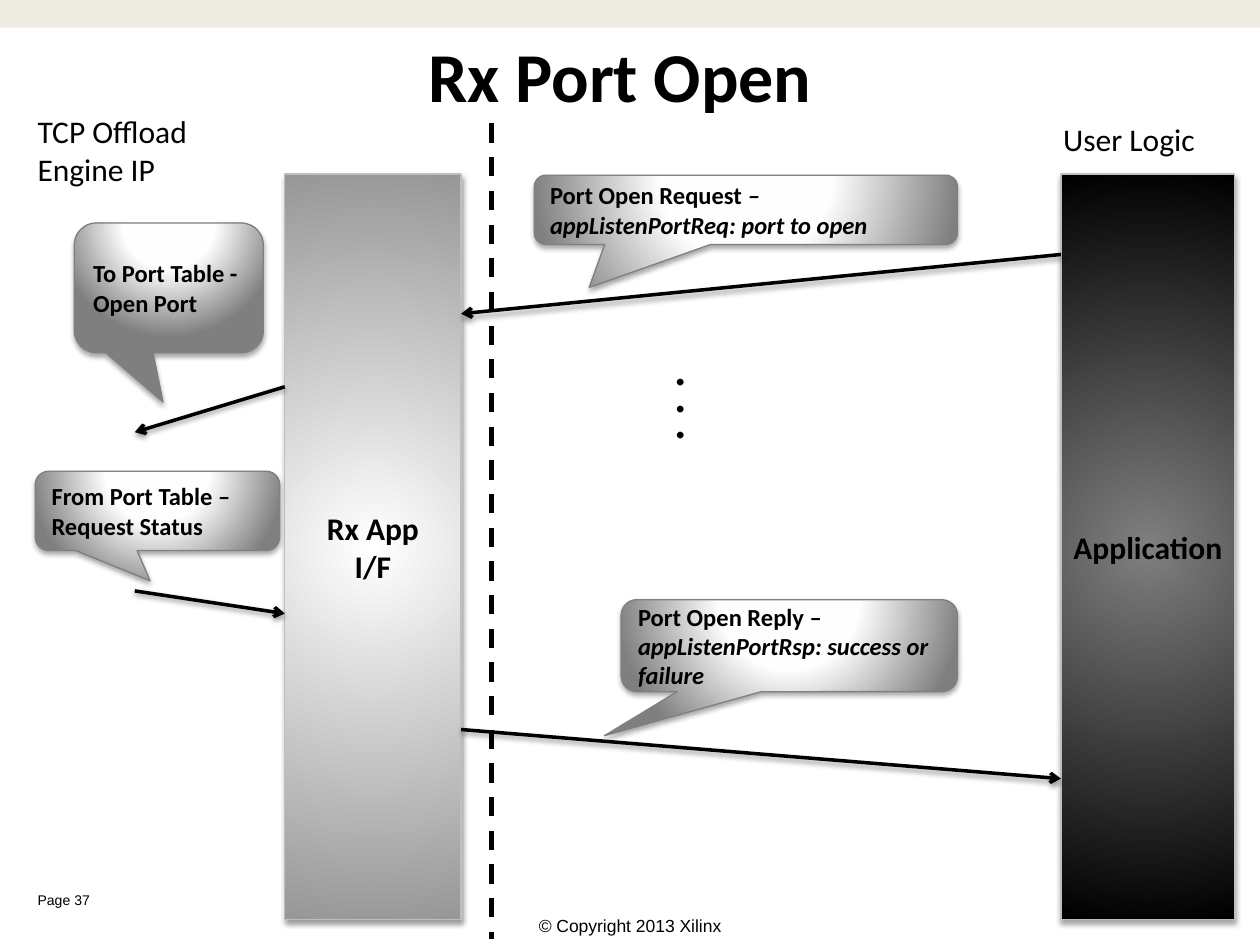
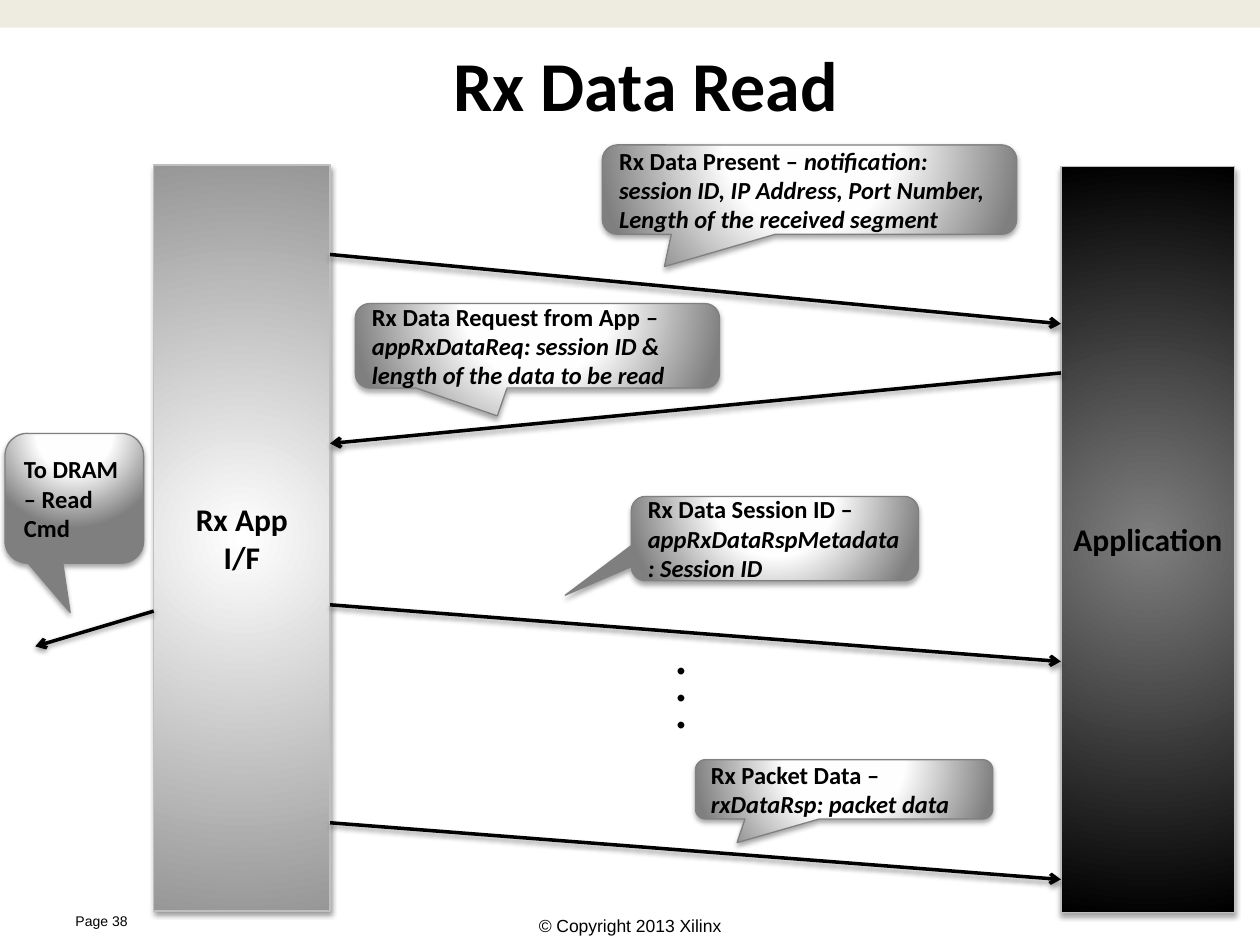
from collections import namedtuple

from lxml.etree import SubElement
from pptx import Presentation
from pptx.dml.color import RGBColor
from pptx.enum.dml import MSO_LINE_DASH_STYLE as Dash
from pptx.enum.shapes import MSO_CONNECTOR as Connector, MSO_SHAPE as Shape
from pptx.enum.text import MSO_ANCHOR as Anchor, PP_ALIGN as Align
from pptx.oxml.ns import qn
from pptx.util import Inches, Pt

# Grid of 100 columns by 75 rows; every length below is in cells
COLUMNS, ROWS = 100, 75
CELL = 0.1

Box = namedtuple("Box", "left top width height")
Arrow = namedtuple("Arrow", "heading start end")
Callout = namedtuple("Callout", "box tip runs")
Gradient = namedtuple("Gradient", "stops focus")

BLACK, BAND = "000000", "EEECE1"
LANE_EDGE, CALLOUT_EDGE = "BFBFBF", "808080"
CENTRE, ABOVE = (50, 50, 50, 50), (50, -80, 50, 180)
LIGHT = Gradient([(0, "FFFFFF"), (100, "979797")], CENTRE)
DARK = Gradient([(0, "7F7F7F"), (100, BLACK)], CENTRE)
BUBBLE = Gradient([(0, "FFFFFF"), (40, "FEFEFE"), (100, "7F7F7F")], ABOVE)
# Opacity in percent, distance in points
SOFT_SHADOW, FIRM_SHADOW = (38, 1.6), (35, 1.8)

LANE_WIDTH, LANE_HEIGHT = 14, 59.2
APPLICATION_LEFT, APPLICATION_WIDTH = 84.2, 13.8


def cells(*lengths):
    return [Inches(length * CELL) for length in lengths]


def within(region, box):
    return Box(region.left + box.left, region.top + box.top, box.width, box.height)


def color(value):
    return RGBColor.from_string(value)


def add_element(parent, tag, **attributes):
    return SubElement(parent, qn(tag), {key: str(value) for key, value in attributes.items()})


def fill_gradient(shape, gradient):
    shape.fill.gradient()
    fill = shape._element.spPr.find(qn("a:gradFill"))
    for child in list(fill):
        fill.remove(child)
    stops = add_element(fill, "a:gsLst")
    for position, value in gradient.stops:
        stop = add_element(stops, "a:gs", pos=position * 1000)
        add_element(stop, "a:srgbClr", val=value)
    path = add_element(fill, "a:path", path="circle")
    edges = {side: share * 1000 for side, share in zip("ltrb", gradient.focus)}
    add_element(path, "a:fillToRect", **edges)


def add_shadow(shape, opacity, distance):
    effects = shape._element.spPr.find(qn("a:effectLst"))
    outer = add_element(effects, "a:outerShdw", blurRad=Pt(3.1), dist=Pt(distance),
                        dir=90 * 60000, rotWithShape=0)
    add_element(add_element(outer, "a:srgbClr", val=BLACK), "a:alpha", val=opacity * 1000)


def write(frame, paragraphs, size, font="Calibri", bold=False, align=Align.LEFT):
    """Each paragraph is a list of (text, italic) runs."""
    for index, runs in enumerate(paragraphs):
        paragraph = frame.add_paragraph() if index else frame.paragraphs[0]
        paragraph.alignment = align
        for text, italic in runs:
            run = paragraph.add_run()
            run.text = text
            run.font.name, run.font.size = font, Pt(size)
            run.font.bold, run.font.italic = bold, italic
            run.font.color.rgb = color(BLACK)


def add_label(slide, box, text, size, **style):
    label = slide.shapes.add_textbox(*cells(*box))
    label.text_frame.word_wrap = True
    write(label.text_frame, [[(text, False)]], size, **style)
    return label


def add_panel(slide, kind, box, gradient, edge, shadow):
    panel = slide.shapes.add_shape(kind, *cells(*box))
    panel.shadow.inherit = False
    fill_gradient(panel, gradient)
    panel.line.color.rgb, panel.line.width = color(edge), Pt(0.75)
    add_shadow(panel, *shadow)
    panel.text_frame.vertical_anchor = Anchor.MIDDLE
    return panel


def add_line(slide, start, end, width):
    line = slide.shapes.add_connector(Connector.STRAIGHT, *cells(*start, *end))
    line.line.color.rgb, line.line.width = color(BLACK), Pt(width)
    add_element(line._element.spPr, "a:effectLst")
    return line


def add_lane(slide, box, lines, gradient, shadow):
    lane = add_panel(slide, Shape.RECTANGLE, box, gradient, LANE_EDGE, shadow)
    lane.text_frame.word_wrap = False
    write(lane.text_frame, [[(line, False)] for line in lines], 18, bold=True,
          align=Align.CENTER)


def add_arrow(slide, region, arrow):
    """Crosses the region from side to side; rows count from its top."""
    sides = [region.left, region.left + region.width]
    if arrow.heading == "left":
        sides.reverse()
    line = add_line(slide, (sides[0], region.top + arrow.start),
                    (sides[1], region.top + arrow.end), 2)
    add_element(line._element.spPr.find(qn("a:ln")), "a:tailEnd", type="arrow")
    add_shadow(line, *SOFT_SHADOW)


def add_callout(slide, region, callout):
    bubble = add_panel(slide, Shape.ROUNDED_RECTANGULAR_CALLOUT, within(region, callout.box),
                       BUBBLE, CALLOUT_EDGE, FIRM_SHADOW)
    for index, value in enumerate((*callout.tip, 0.17)):
        bubble.adjustments[index] = value
    bubble.text_frame.word_wrap = True
    write(bubble.text_frame, callout.runs, 14, bold=True)


def add_exchange(slide, region, arrows, callouts, dots=None):
    """Messages crossing one region, with their callouts."""
    for arrow in arrows:
        add_arrow(slide, region, arrow)
    for callout in callouts:
        add_callout(slide, region, callout)
    if dots:
        add_label(slide, within(region, dots), ". . .", 32).rotation = 90


def start_slide(presentation, title, title_box, title_align, page, page_box):
    """Band, copyright, page number and title."""
    slide = presentation.slides.add_slide(presentation.slide_layouts[6])
    band = slide.shapes.add_shape(Shape.RECTANGLE, *cells(0, 0, COLUMNS, 2.2))
    band.shadow.inherit = False
    band.fill.solid()
    band.fill.fore_color.rgb = color(BAND)
    band.line.fill.background()
    add_label(slide, Box(0, 72.1, COLUMNS, 3.2), "© Copyright 2013 Xilinx", 10,
              font="Arial", align=Align.CENTER)
    add_label(slide, page_box, f"Page {page}", 8, font="Arial")
    add_label(slide, title_box, title, 40, bold=True, align=title_align)
    return slide


def add_lanes(slide, left, top, application_top, reach):
    """Draws both lanes; returns the regions outside and between them."""
    add_lane(slide, Box(left, top, LANE_WIDTH, LANE_HEIGHT), ["Rx App", "I/F"],
             LIGHT, SOFT_SHADOW)
    add_lane(slide, Box(APPLICATION_LEFT, application_top, APPLICATION_WIDTH, LANE_HEIGHT),
             ["Application"], DARK, FIRM_SHADOW)
    right = left + LANE_WIDTH
    return (Box(left - reach, top, reach, LANE_HEIGHT),
            Box(right, top, APPLICATION_LEFT - right, LANE_HEIGHT))


def build_port_open(presentation):
    slide = start_slide(presentation, "Rx Port Open", Box(0.4, 2.1, 97.6, 7.7),
                        Align.CENTER, 37, Box(2, 70.3, 9.2, 2.7))
    outside, between = add_lanes(slide, 22.6, 13.8, 13.8, 11.9)

    # Requests between interface and application
    add_exchange(slide, between, [Arrow("right", 44.1, 48), Arrow("left", 6.4, 11.1)], [
        Callout(Box(5.8, 0.1, 33.6, 5.5), (-0.37, 1.12),
                [[("Port Open Request", False),
                  (" – appListenPortReq: port to open", True)]]),
        Callout(Box(12.7, 33.8, 26.7, 7.3), (-0.55, 0.98),
                [[("Port Open Reply –", False)],
                 [("appListenPortRsp: success or failure", True)]]),
    ], dots=Box(14.2, 16.5, 9.4, 6.4))

    # Port table
    add_exchange(slide, outside, [Arrow("left", 16.9, 20.5), Arrow("right", 33.1, 34.9)], [
        Callout(Box(-4.8, 3.9, 15, 10.3), (-0.03, 0.88),
                [[("To Port Table - Open Port", False)]]),
        Callout(Box(-7.9, 23.6, 19.4, 6.3), (-0.03, 0.88),
                [[("From Port Table – Request Status", False)]]),
    ])

    # Boundary between engine and user logic
    add_line(slide, (39, 9.8), (39, 74.5), 2.75).line.dash_style = Dash.DASH
    add_label(slide, Box(2, 8.4, 18.3, 7.1), "TCP Offload Engine IP", 18)
    add_label(slide, Box(83.4, 9, 14.7, 4), "User Logic", 18)


def build_data_read(presentation):
    slide = start_slide(presentation, "Rx Data Read", Box(35, 2.8, 35.4, 7.7),
                        Align.LEFT, 38, Box(5, 71.9, 9.2, 2.7))
    outside, between = add_lanes(slide, 12.2, 13.1, 13.2, 9.4)

    # Requests between interface and application
    add_exchange(slide, between, [
        Arrow("right", 7.1, 12.6), Arrow("left", 16.5, 22.1),
        Arrow("right", 34.9, 39.4), Arrow("right", 52.2, 56.7),
    ], [
        Callout(Box(21.6, -1.6, 32.9, 7.1), (-0.35, 0.86),
                [[("Rx Data Present – ", False),
                  ("notification: session ID, IP Address, Port Number, "
                   "Length of the received segment", True)]]),
        Callout(Box(2, 11, 28.9, 6.7), (-0.11, 0.83),
                [[("Rx Data Request from App ", False),
                  ("– appRxDataReq: session ID & length of the data to be read", True)]]),
        Callout(Box(23.9, 26.3, 22.8, 6.7), (-0.73, 0.67),
                [[("Rx Data Session ID – ", False),
                  ("appRxDataRspMetadata: Session ID", True)]]),
        Callout(Box(29, 47.2, 23.6, 4.7), (-0.36, 0.9),
                [[("Rx Packet Data – ", False), ("rxDataRsp: packet data", True)]]),
    ], dots=Box(22.1, 42.7, 14.5, 6.4))

    # Memory read
    add_exchange(slide, outside, [Arrow("left", 35.4, 38.2)], [
        Callout(Box(-2.4, 21.3, 11, 10.3), (-0.03, 0.88),
                [[("To DRAM – Read Cmd", False)]]),
    ])


def main():
    presentation = Presentation()
    presentation.slide_width, presentation.slide_height = cells(COLUMNS, ROWS)
    build_port_open(presentation)
    build_data_read(presentation)
    presentation.save("out.pptx")


if __name__ == "__main__":
    main()
